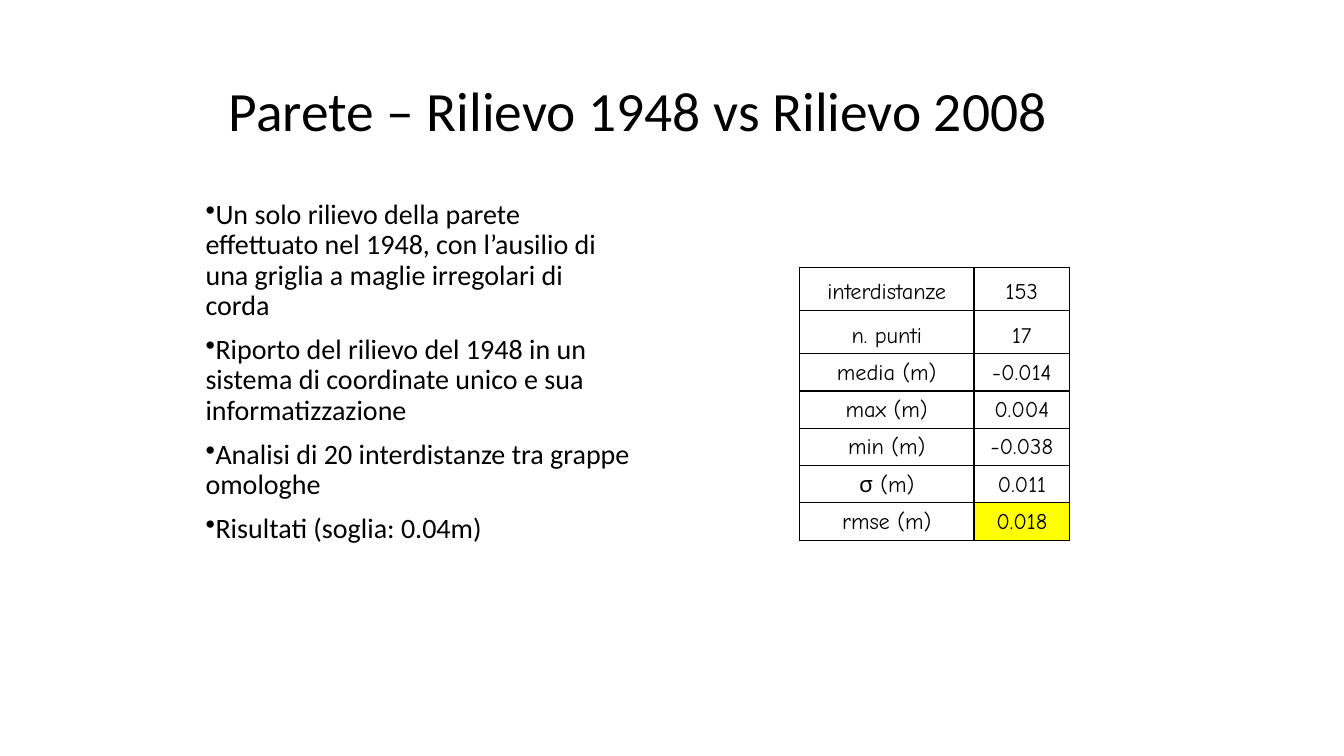
"""Build the slide comparing the 1948 and 2008 wall surveys."""
from lxml.etree import SubElement
from pptx import Presentation
from pptx.dml.color import RGBColor
from pptx.enum.text import MSO_ANCHOR, PP_ALIGN
from pptx.oxml.ns import qn
from pptx.util import Inches, Pt

BLACK = RGBColor(0x00, 0x00, 0x00)
YELLOW = RGBColor(0xFF, 0xFF, 0x00)
POINTS = [
    "Un solo rilievo della parete effettuato nel 1948, con l’ausilio di una griglia a maglie irregolari di corda",
    "Riporto del rilievo del 1948 in un sistema di coordinate unico e sua informatizzazione",
    "Analisi di 20 interdistanze tra grappe omologhe",
    "Risultati (soglia: 0.04m)",
]
STATISTICS = [
    ("interdistanze", "153"),
    ("n. punti", "17"),
    ("media (m)", "-0.014"),
    ("max (m)", "0.004"),
    ("min (m)", "-0.038"),
    ("σ (m)", "0.011"),
    ("rmse (m)", "0.018"),
]
COLUMN_WIDTHS = [1.73, 0.95]
ROW_HEIGHTS = [0.43] * 2 + [0.37] * 5


def write(para, text, size, font="Calibri", align=PP_ALIGN.LEFT, spacing=1.0, before=0, bullet=None):
    if bullet:
        properties = para._p.get_or_add_pPr()
        properties.set("marL", "0")
        properties.set("indent", "0")
        SubElement(properties, qn("a:buChar"), char=bullet)
    para.alignment = align
    para.line_spacing = spacing
    para.space_before = Pt(before)
    span = para.add_run()
    span.text = text
    span.font.name = font
    span.font.size = Pt(size)
    span.font.color.rgb = BLACK


deck = Presentation()
deck.slide_width = Inches(13.33)
deck.slide_height = Inches(7.5)
page = deck.slides.add_slide(deck.slide_layouts[6])

title = page.shapes.add_textbox(Inches(2.17), Inches(0.78), Inches(9), Inches(0.7)).text_frame
title.word_wrap = True
title.vertical_anchor = MSO_ANCHOR.MIDDLE
write(title.paragraphs[0], "Parete – Rilievo 1948 vs Rilievo 2008", size=39.6, spacing=0.9)

body = page.shapes.add_textbox(Inches(1.94), Inches(1.94), Inches(4.42), Inches(3.63)).text_frame
body.word_wrap = True
for index, point in enumerate(POINTS):
    para = body.add_paragraph() if index else body.paragraphs[0]
    write(para, point, size=20, spacing=0.9, before=10 if index else 0, bullet="•")

table = page.shapes.add_table(
    len(STATISTICS), len(COLUMN_WIDTHS), Inches(7.93), Inches(2.65),
    Inches(sum(COLUMN_WIDTHS)), Inches(sum(ROW_HEIGHTS)),
).table
table.first_row = False
table.horz_banding = False
for column, width in zip(table.columns, COLUMN_WIDTHS):
    column.width = Inches(width)

for row, height, texts in zip(table.rows, ROW_HEIGHTS, STATISTICS):
    row.height = Inches(height)
    for cell, text in zip(row.cells, texts):
        cell.vertical_anchor = MSO_ANCHOR.BOTTOM
        write(cell.text_frame.paragraphs[0], text, size=16, font="Comic Neue", align=PP_ALIGN.CENTER)
        for side in ("a:lnL", "a:lnR", "a:lnT", "a:lnB"):
            border = SubElement(cell._tc.get_or_add_tcPr(), qn(side), w=str(Pt(1)))
            SubElement(SubElement(border, qn("a:solidFill")), qn("a:srgbClr"), val=str(BLACK))
        cell.fill.background()

rmse = table.cell(len(STATISTICS) - 1, 1)
rmse.fill.solid()
rmse.fill.fore_color.rgb = YELLOW

deck.save("out.pptx")
